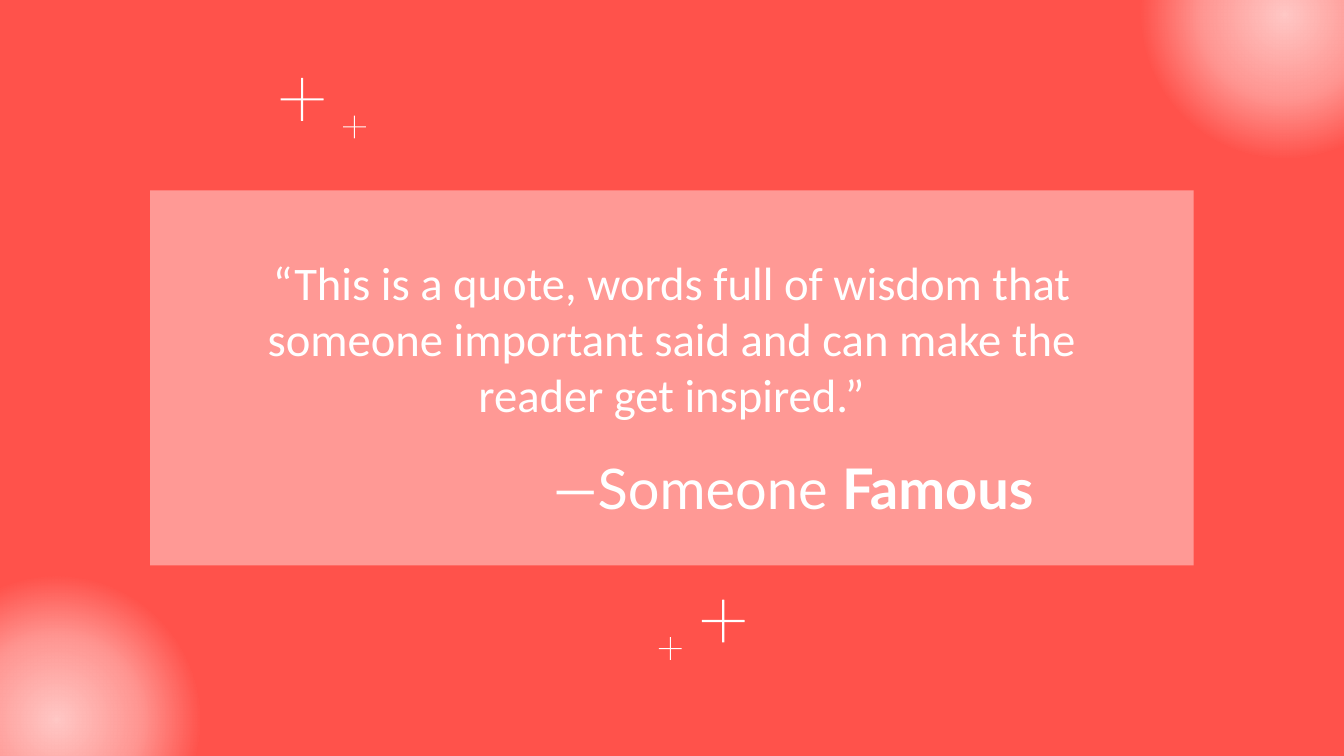
from typing import NamedTuple

import pptx
import pptx.dml.color
import pptx.enum.shapes
import pptx.enum.text
import pptx.oxml
import pptx.oxml.ns
import pptx.util

Cm = pptx.util.Cm
RGBColor = pptx.dml.color.RGBColor
MSO_SHAPE = pptx.enum.shapes.MSO_SHAPE

RED = RGBColor(0xFF, 0x52, 0x4B)
PINK = RGBColor(0xFF, 0x99, 0x95)
WHITE = RGBColor(0xFF, 0xFF, 0xFF)

GLOW_SIZE = 5.82
GLOW_STOPS = ((0, 68), (39, 38), (66, 0), (100, 0))  # position %, opacity %


class Box(NamedTuple):
    left: float
    top: float
    width: float
    height: float


class Cross(NamedTuple):
    x: float
    y: float
    size: float
    thickness: float


class Run(NamedTuple):
    text: str
    bold: bool = False


class Label(NamedTuple):
    box: Box
    font: str
    size: int
    runs: tuple[Run, ...]


GLOWS = ((21.36, -2.64), (-1.85, 10.69))
PANEL = Box(2.84, 3.6, 19.72, 7.09)
CROSSES = (
    Cross(13.67, 11.74, 0.81, 0.04),
    Cross(12.67, 12.26, 0.43, 0.02),
    Cross(5.71, 1.88, 0.81, 0.04),
    Cross(6.7, 2.4, 0.43, 0.02),
)
LABELS = (
    Label(Box(8.66, 8.48, 12.67, 1.47), "Lato", 30,
          (Run("—Someone "), Run("Famous", True))),
    Label(Box(4.04, 4.32, 17.3, 4.14), "Calibri", 25,
          (Run("“This is a quote, words full of wisdom that someone important "
               "said and can make the reader get inspired.”"),)),
)


def add_solid(s, kind, box: Box, color: RGBColor):
    sp = s.shapes.add_shape(kind, *map(Cm, box))
    sp.shadow.inherit = False
    sp.fill.solid()
    sp.fill.fore_color.rgb = color
    sp.line.fill.background()
    return sp


def add_glow(s, left: float, top: float) -> None:
    sp = add_solid(s, MSO_SHAPE.OVAL, Box(left, top, GLOW_SIZE, GLOW_SIZE), WHITE)
    stops = "".join(
        f'<a:gs pos="{pos * 1000}"><a:srgbClr val="{WHITE}">'
        f'<a:alpha val="{alpha * 1000}"/></a:srgbClr></a:gs>'
        for pos, alpha in GLOW_STOPS
    )
    grad = pptx.oxml.parse_xml(
        f'<a:gradFill {pptx.oxml.ns.nsdecls("a")}><a:gsLst>{stops}</a:gsLst>'
        '<a:path path="circle"><a:fillToRect l="50000" t="50000" r="50000" b="50000"/>'
        '</a:path></a:gradFill>'
    )
    sp_pr = sp.element.spPr
    sp_pr.replace(sp_pr.find(pptx.oxml.ns.qn("a:solidFill")), grad)


def add_cross(s, c: Cross) -> None:
    for w, h in ((c.thickness, c.size), (c.size, c.thickness)):
        box = Box(c.x - w / 2, c.y - h / 2, w, h)
        add_solid(s, MSO_SHAPE.ROUNDED_RECTANGLE, box, WHITE)


def add_label(s, label: Label) -> None:
    tf = s.shapes.add_textbox(*map(Cm, label.box)).text_frame
    tf.word_wrap = True
    tf.vertical_anchor = pptx.enum.text.MSO_ANCHOR.MIDDLE
    tf.margin_left = tf.margin_right = tf.margin_top = tf.margin_bottom = Cm(0.25)
    p = tf.paragraphs[0]
    p.alignment = pptx.enum.text.PP_ALIGN.CENTER
    for run in label.runs:
        r = p.add_run()
        r.text = run.text
        r.font.name = label.font
        r.font.size = pptx.util.Pt(label.size)
        r.font.bold = run.bold
        r.font.color.rgb = WHITE


def main() -> None:
    prs = pptx.Presentation()
    prs.slide_width, prs.slide_height = Cm(25.4), Cm(14.29)
    s = prs.slides.add_slide(prs.slide_layouts[6])

    # Background, corner glows and quote panel
    s.background.fill.solid()
    s.background.fill.fore_color.rgb = RED
    for left, top in GLOWS:
        add_glow(s, left, top)
    add_solid(s, MSO_SHAPE.RECTANGLE, PANEL, PINK)

    # Author and quote
    for label in LABELS:
        add_label(s, label)

    # Decorative crosses
    for cross in CROSSES:
        add_cross(s, cross)

    prs.save("out.pptx")


if __name__ == "__main__":
    main()
